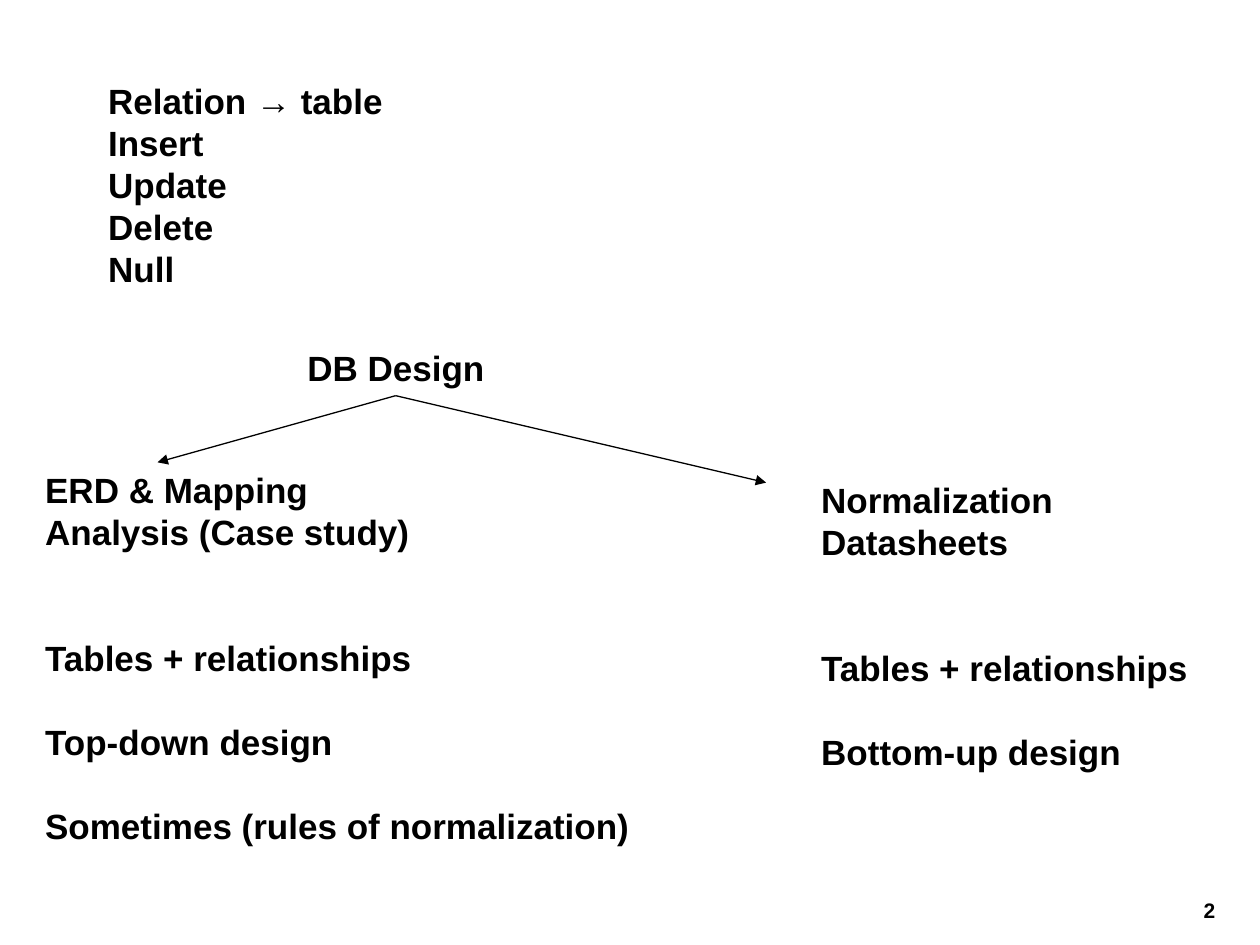
"""Builds a slide comparing two routes to a database design."""
from lxml.etree import SubElement
from pptx import Presentation
from pptx.dml.color import RGBColor
from pptx.enum.shapes import MSO_CONNECTOR
from pptx.enum.text import PP_ALIGN
from pptx.oxml.ns import qn
from pptx.util import Pt

COLORS = {"ink": "000000", "paper": "FFFFFF"}
FONT = "Arial"
LINE_PITCH = 24

RELATION_TERMS = [("Relation → table", 0), ("Insert", 0), ("Update", 0), ("Delete", 0), ("Null", 0)]
DESIGN_HEADING = [("DB Design", 0)]
TOP_DOWN = [
    ("ERD & Mapping", 0),
    ("Analysis (Case study)", 0),
    ("Tables + relationships", 2),
    ("Top-down design", 1),
    ("Sometimes (rules of normalization)", 1),
]
BOTTOM_UP = [
    ("Normalization", 0),
    ("Datasheets", 0),
    ("Tables + relationships", 2),
    ("Bottom-up design", 1),
]
TEXT_BLOCKS = [
    (RELATION_TERMS, (54.7, 41.8, 171.4, 151.2), False),
    (DESIGN_HEADING, (168.5, 194.4, 115.9, 31.7), False),
    (TOP_DOWN, (18.7, 264.2, 348.5, 223.2), False),
    (BOTTOM_UP, (462.2, 270, 288, 175.7), True),
]
BRANCH_START = (226.1, 226.1)
BRANCH_ENDS = [(90, 264.2), (437.8, 275.8)]


def add_text(slide, lines, box, size=20, wrap=False, align=PP_ALIGN.LEFT,
             spacing=Pt(LINE_PITCH), lead=0):
    """Add bold lines, each given with the number of line gaps above it."""
    frame = slide.shapes.add_textbox(*map(Pt, box)).text_frame
    frame.word_wrap = wrap
    for index, (words, gaps) in enumerate(lines):
        paragraph = frame.add_paragraph() if index else frame.paragraphs[0]
        paragraph.alignment = align
        paragraph.line_spacing = spacing
        paragraph.space_before = Pt(lead + gaps * LINE_PITCH)
        run = paragraph.add_run()
        run.text = words
        run.font.name = FONT
        run.font.size = Pt(size)
        run.font.bold = True
        run.font.color.rgb = RGBColor.from_string(COLORS["ink"])


def add_branch(slide, start, end):
    """Add a thin arrow from start to end."""
    branch = slide.shapes.add_connector(MSO_CONNECTOR.STRAIGHT, *map(Pt, start + end))
    branch.line.width = Pt(0.74)
    branch.line.color.rgb = RGBColor.from_string(COLORS["ink"])
    SubElement(branch.line._get_or_add_ln(), qn("a:tailEnd"), type="triangle")
    SubElement(branch._element.spPr, qn("a:effectLst"))


deck = Presentation()
deck.slide_width, deck.slide_height = Pt(720), Pt(540)
slide = deck.slides.add_slide(deck.slide_layouts[6])
slide.background.fill.solid()
slide.background.fill.fore_color.rgb = RGBColor.from_string(COLORS["paper"])

add_text(slide, [("2", 0)], (673.2, 511.2, 36, 20.2), size=12, wrap=True,
         align=PP_ALIGN.CENTER, spacing=0.9, lead=7.5)
for lines, box, wrap in TEXT_BLOCKS:
    add_text(slide, lines, box, wrap=wrap)
for end in BRANCH_ENDS:
    add_branch(slide, BRANCH_START, end)

deck.save("out.pptx")
